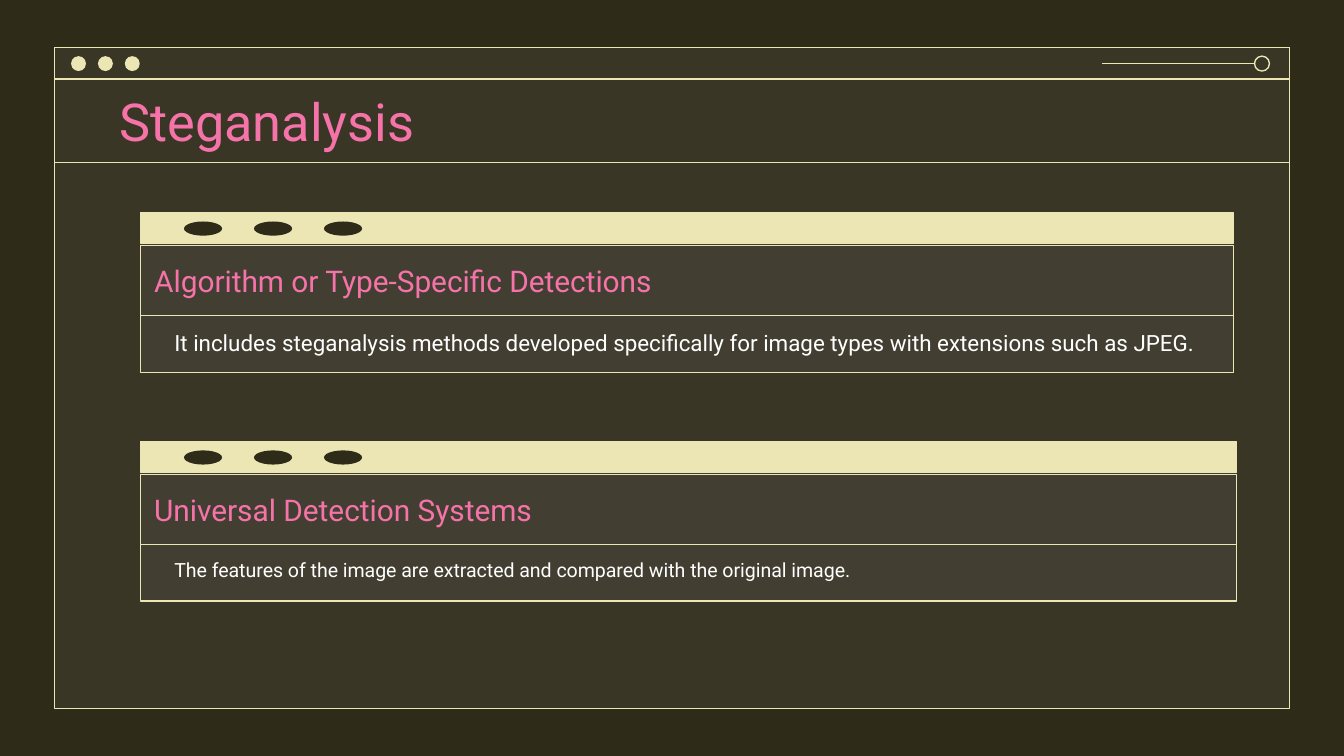
from lxml.etree import SubElement
from pptx import Presentation
from pptx.dml.color import RGBColor
from pptx.enum.shapes import MSO_CONNECTOR as Link, MSO_SHAPE as Form
from pptx.enum.text import MSO_ANCHOR as Anchor, MSO_AUTO_SIZE as Fit, PP_ALIGN as Align
from pptx.oxml.ns import qn
from pptx.util import Pt

DARK = RGBColor(0x2F, 0x2B, 0x19)
CREAM = RGBColor(0xEC, 0xE5, 0xB4)
PINK = RGBColor(0xF6, 0x73, 0xA9)
WHITE = RGBColor(0xFF, 0xFF, 0xFF)
GRAY = RGBColor(0x7C, 0x7C, 0x7C)
FONT = "Roboto"


def edge(item):
    item.line.color.rgb = CREAM
    item.line.width = Pt(0.75)


def draw(slide, form, box, fill=None, alpha=None, line=False):
    shape = slide.shapes.add_shape(form, *map(Pt, box))
    shape.shadow.inherit = False
    if fill is None:
        shape.fill.background()
    else:
        shape.fill.solid()
        shape.fill.fore_color.rgb = fill
    if alpha:
        color = shape.fill._xPr.find(".//" + qn("a:srgbClr"))
        SubElement(color, qn("a:alpha"), val=str(alpha * 1000))
    if line:
        edge(shape)
    else:
        shape.line.fill.background()


def rule(slide, left, right, y):
    line = slide.shapes.add_connector(Link.STRAIGHT, Pt(left), Pt(y), Pt(right), Pt(y))
    edge(line)
    SubElement(line._element.spPr, qn("a:effectLst"))


def dots(slide, left, top, wide, high, step, fill):
    for i in range(3):
        draw(slide, Form.OVAL, (left + i * step, top, wide, high), fill)


def write(holder, text, box, size, color, anchor=Anchor.MIDDLE, indent=None, line=False):
    # Bring the placeholder in front of what is already drawn
    node = holder._element
    node.getparent().append(node)
    holder.left, holder.top, holder.width, holder.height = map(Pt, box)
    if line:
        edge(holder)
    frame = holder.text_frame
    frame.text = text
    frame.word_wrap = True
    frame.auto_size = Fit.NONE
    frame.vertical_anchor = anchor
    frame.margin_left = frame.margin_right = Pt(7.2)
    frame.margin_top = frame.margin_bottom = Pt(7.2)
    para = frame.paragraphs[0]
    left, first = indent or (0, 0)
    props = para._p.get_or_add_pPr()
    props.set("marL", str(Pt(left)))
    props.set("indent", str(Pt(first)))
    SubElement(props, qn("a:buNone"))
    para.alignment = Align.LEFT
    para.space_before = Pt(0)
    font = para.runs[0].font
    font.name, font.size, font.bold = FONT, Pt(size), False
    font.color.rgb = color


def window(slide, title, box):
    x, y, w, h = box
    # Frame and top bar
    draw(slide, Form.RECTANGLE, box, GRAY, alpha=14)
    draw(slide, Form.RECTANGLE, box, line=True)
    draw(slide, Form.RECTANGLE, (x, y, w, 17), line=True)
    # Buttons and slider
    dots(slide, x + 8.8, y + 4.7, 8, 8, 14.4, CREAM)
    draw(slide, Form.OVAL, (x + w - 18.7, y + 4.7, 8, 8), line=True)
    rule(slide, x + 561, x + w - 18.7, y + 8.7)
    # Title band
    rule(slide, x, x + w, y + 61.7)
    write(slide.shapes.title, title, (x + 27.5, y + 17, 607, 44.7), 28, PINK)


def panel(slide, head, body, texts, size, box):
    x, y, w, h = box
    # Backing and bar
    draw(slide, Form.RECTANGLE, (x, y + 14, w, h - 14), GRAY, alpha=14)
    draw(slide, Form.RECTANGLE, (x, y, w, 16.6), CREAM, line=True)
    dots(slide, x + 23.2, y + 4.7, 20.4, 7.6, 37.5, DARK)
    # Heading and text
    write(head, texts[0], (x, y + 17.5, w, 37.5), 16, PINK, line=True)
    write(body, texts[1], (x, y + 55, w, h - 55), size, WHITE,
          anchor=Anchor.TOP, indent=(36, -25.2), line=True)


def main():
    deck = Presentation()
    deck.slide_width, deck.slide_height = Pt(720), Pt(405)
    slide = deck.slides.add_slide(deck.slide_layouts[4])
    for holder in list(slide.placeholders):
        if holder.placeholder_format.idx > 4:
            holder._element.getparent().remove(holder._element)
    slide.background.fill.solid()
    slide.background.fill.fore_color.rgb = DARK

    window(slide, "Steganalysis", (29.3, 25.4, 661.5, 354.4))
    panels = [
        ("Algorithm or Type-Specific Detections",
         "It includes steganalysis methods developed specifically for image types "
         "with extensions such as JPEG.", 12, (75.4, 114, 585.3, 85.6)),
        ("Universal Detection Systems",
         "The features of the image are extracted and compared with the original image.",
         10.5, (75.4, 236.6, 587, 85.4)),
    ]
    slots = slide.placeholders
    for i, (head, body, size, box) in enumerate(panels):
        panel(slide, slots[2 * i + 1], slots[2 * i + 2], (head, body), size, box)
    deck.save("out.pptx")


if __name__ == "__main__":
    main()
